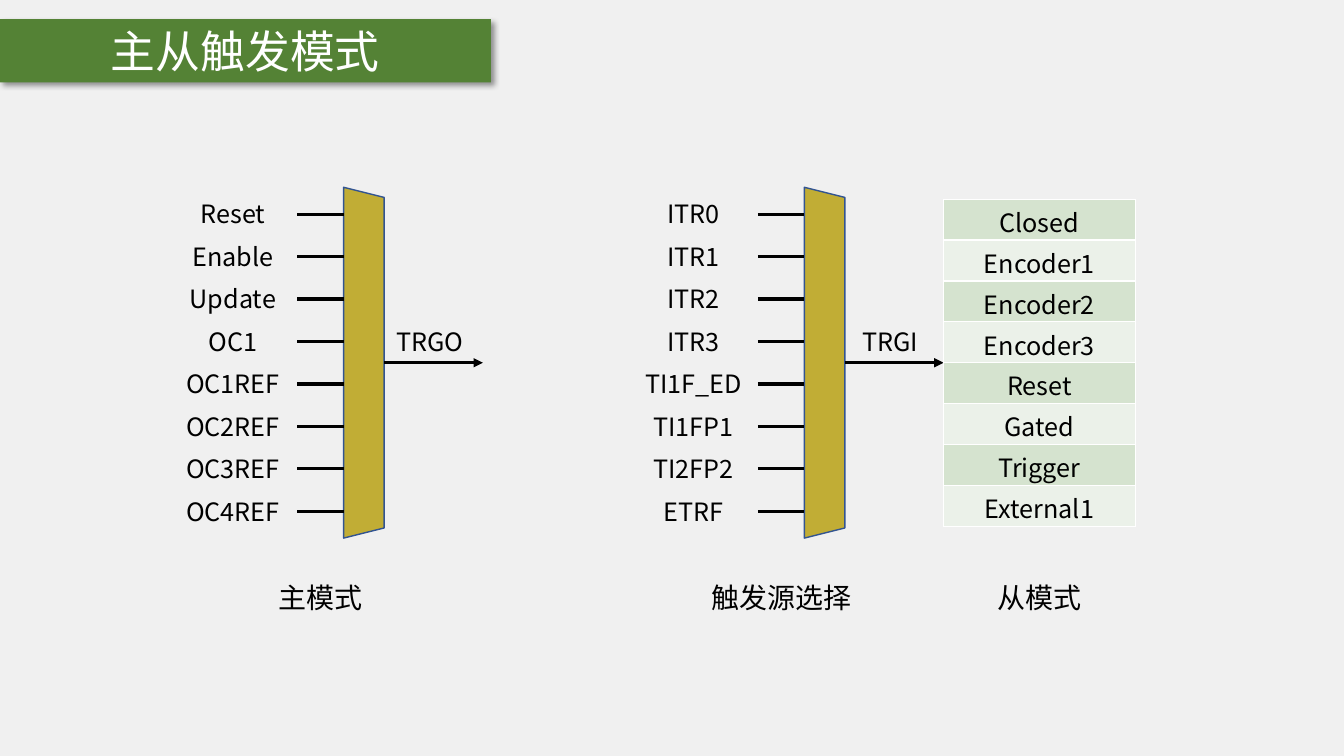
"""Build the slide on master and slave trigger modes of a timer."""
from dataclasses import dataclass

from lxml.etree import SubElement
from pptx import Presentation
from pptx.dml.color import RGBColor
from pptx.enum.shapes import MSO_CONNECTOR, MSO_SHAPE
from pptx.enum.text import MSO_ANCHOR, MSO_AUTO_SIZE, PP_ALIGN
from pptx.oxml.ns import qn
from pptx.slide import Slide
from pptx.util import Cm, Pt

FONT_NAME = "Noto Sans CJK SC"
AXIS_Y = 9.14
ROW_PITCH = 1.07
BODY_LENGTH, BODY_THICKNESS = 8.84, 1.02
TABLE_LEFT, TABLE_WIDTH, TABLE_ROW = 23.77, 4.85, 1.03
CAPTION_Y = 15.06
BLACK, WHITE = "000000", "FFFFFF"
BAND_FILLS = ("D5E3CF", "EBF1E9")


@dataclass(frozen=True)
class Multiplexer:
    """Selector with its input names, output name and caption."""

    center_x: float
    inputs: tuple[str, ...]
    output: str
    caption: str


MULTIPLEXERS = (
    Multiplexer(
        9.17,
        ("Reset", "Enable", "Update", "OC1", "OC1REF", "OC2REF", "OC3REF", "OC4REF"),
        "TRGO",
        "主模式",
    ),
    Multiplexer(
        20.78,
        ("ITR0", "ITR1", "ITR2", "ITR3", "TI1F_ED", "TI1FP1", "TI2FP2", "ETRF"),
        "TRGI",
        "触发源选择",
    ),
)
SLAVE_MODES = (
    "Closed", "Encoder1", "Encoder2", "Encoder3",
    "Reset", "Gated", "Trigger", "External1",
)


def color(value: str) -> RGBColor:
    """Turn a hex string into a colour."""
    return RGBColor.from_string(value)


def row_y(index: int) -> float:
    """Return the height of an input row, with eight rows centred on the axis."""
    return AXIS_Y + (index - 3.5) * ROW_PITCH


def write_text(frame, text: str, size: float, ink: str = BLACK) -> None:
    """Put one centred line of text into a frame."""
    para = frame.paragraphs[0]
    para.alignment = PP_ALIGN.CENTER
    span = para.add_run()
    span.text = text
    for name, value in {"name": FONT_NAME, "size": Pt(size)}.items():
        setattr(span.font, name, value)
    span.font.color.rgb = color(ink)
    properties = span.font._element
    SubElement(properties, qn("a:ea"), typeface=FONT_NAME)


def add_label(
    page: Slide, text: str, center_x: float, center_y: float,
    width: float = 3.33, height: float = 1.02, size: float = 18,
) -> None:
    """Add a text box around a centre point."""
    box = page.shapes.add_textbox(
        Cm(center_x - width / 2), Cm(center_y - height / 2), Cm(width), Cm(height)
    )
    settings = {"word_wrap": True, "auto_size": MSO_AUTO_SIZE.SHAPE_TO_FIT_TEXT}
    for name, value in settings.items():
        setattr(box.text_frame, name, value)
    write_text(box.text_frame, text, size)


def add_caption(page: Slide, text: str, center_x: float) -> None:
    """Add a caption in the bottom row."""
    add_label(page, text, center_x, CAPTION_Y, width=5.05, height=1.12, size=20)


def add_wire(page: Slide, start: float, end: float, y: float, arrow: bool = False) -> None:
    """Add a horizontal wire, with an arrowhead if asked."""
    wire = page.shapes.add_connector(
        MSO_CONNECTOR.STRAIGHT, Cm(start), Cm(y), Cm(end), Cm(y)
    )
    wire.line.width = Pt(2.25)
    wire.line.color.rgb = color(BLACK)
    if arrow:
        SubElement(wire.line._get_or_add_ln(), qn("a:tailEnd"), type="triangle")
    SubElement(wire._element.spPr, qn("a:effectLst"))


def add_title(page: Slide, text: str) -> None:
    """Add the title banner with its soft shadow."""
    banner = page.shapes.add_shape(MSO_SHAPE.RECTANGLE, 0, Cm(0.48), Cm(12.37), Cm(1.6))
    banner.fill.solid()
    banner.fill.fore_color.rgb = color("548235")
    banner.line.fill.background()
    banner.shadow.inherit = False
    effects = banner._element.spPr.find(qn("a:effectLst"))
    shadow = SubElement(
        effects, qn("a:outerShdw"), blurRad=str(Pt(4)), dist=str(Pt(3)),
        dir="2700000", algn="tl", rotWithShape="0",
    )
    shade = SubElement(shadow, qn("a:srgbClr"), val=BLACK)
    SubElement(shade, qn("a:alpha"), val="40000")
    banner.text_frame.vertical_anchor = MSO_ANCHOR.MIDDLE
    write_text(banner.text_frame, text, 32, WHITE)


def add_multiplexer(page: Slide, item: Multiplexer) -> None:
    """Draw a selector with its inputs, output and caption."""
    x = item.center_x
    edge = BODY_THICKNESS / 2
    body = page.shapes.add_shape(
        MSO_SHAPE.TRAPEZOID, Cm(x - BODY_LENGTH / 2), Cm(AXIS_Y - edge),
        Cm(BODY_LENGTH), Cm(BODY_THICKNESS),
    )
    body.rotation = 90
    body.shadow.inherit = False
    body.fill.solid()
    body.fill.fore_color.rgb = color("C1AD35")
    body.line.color.rgb = color("325491")
    body.line.width = Pt(1)
    for index, name in enumerate(item.inputs):
        add_wire(page, x - 1.68, x - edge, row_y(index))
        add_label(page, name, x - 3.3, row_y(index))
    add_wire(page, x + edge, x + 3, AXIS_Y, arrow=True)
    add_label(page, item.output, x + 1.66, row_y(3))
    add_caption(page, item.caption, x - 1.09)


def add_mode_table(page: Slide, modes: tuple[str, ...]) -> None:
    """Add the banded one-column table of slave modes."""
    height = TABLE_ROW * len(modes)
    table = page.shapes.add_table(
        len(modes), 1, Cm(TABLE_LEFT), Cm(AXIS_Y - height / 2), Cm(TABLE_WIDTH), Cm(height)
    ).table
    for name, value in {"first_row": False, "horz_banding": False}.items():
        setattr(table, name, value)
    for index, mode in enumerate(modes):
        cell = table.cell(index, 0)
        for name, value in {"margin_top": Cm(0.1), "margin_bottom": 0}.items():
            setattr(cell, name, value)
        properties = cell._tc.get_or_add_tcPr()
        for side in ("lnL", "lnR", "lnT", "lnB"):
            border = SubElement(properties, qn(f"a:{side}"), w=str(Pt(1)))
            SubElement(SubElement(border, qn("a:solidFill")), qn("a:srgbClr"), val=WHITE)
        cell.fill.solid()
        cell.fill.fore_color.rgb = color(BAND_FILLS[index % 2])
        write_text(cell.text_frame, mode, 18)


def main() -> None:
    """Build and save the deck."""
    deck = Presentation()
    for name, value in {"slide_width": Cm(33.87), "slide_height": Cm(19.05)}.items():
        setattr(deck, name, value)
    page = deck.slides.add_slide(deck.slide_layouts[6])
    page.background.fill.solid()
    page.background.fill.fore_color.rgb = color("F0F0F0")
    add_title(page, "主从触发模式")
    for item in MULTIPLEXERS:
        add_multiplexer(page, item)
    add_mode_table(page, SLAVE_MODES)
    add_caption(page, "从模式", TABLE_LEFT + TABLE_WIDTH / 2)
    deck.save("out.pptx")


if __name__ == "__main__":
    main()
